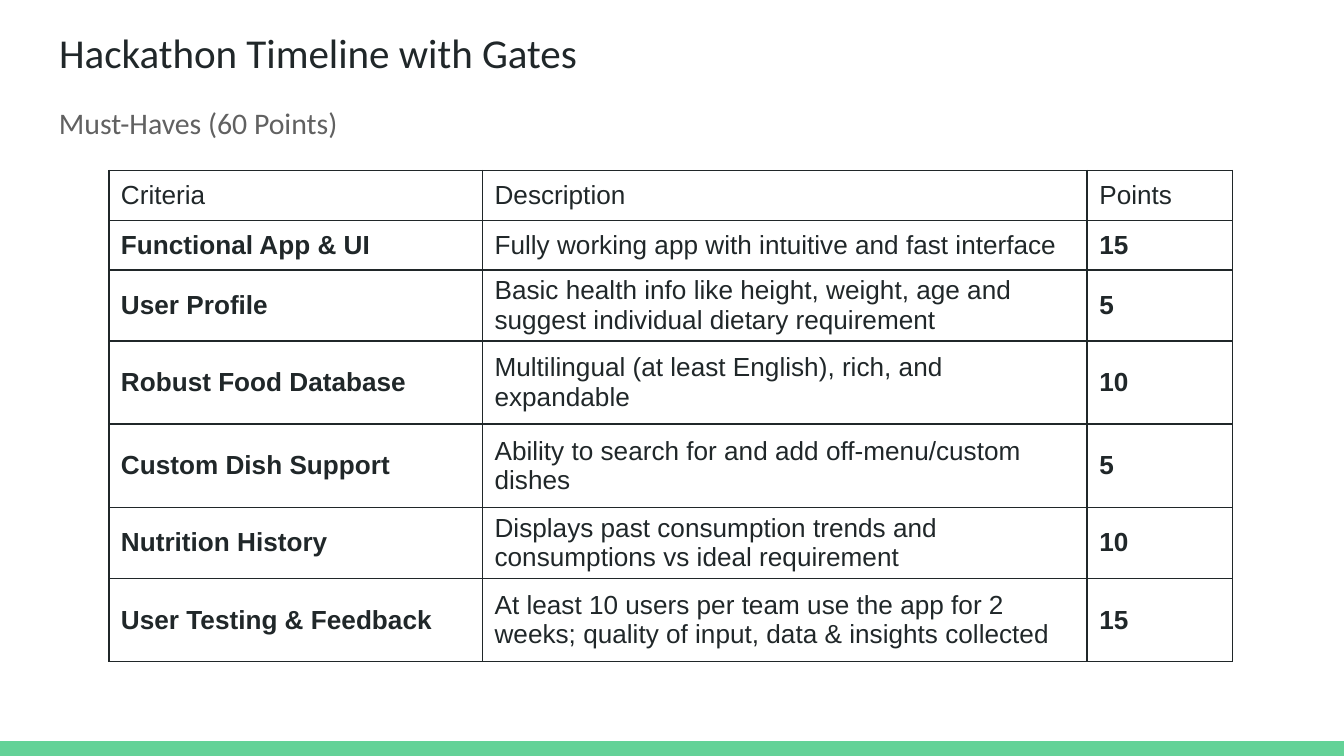
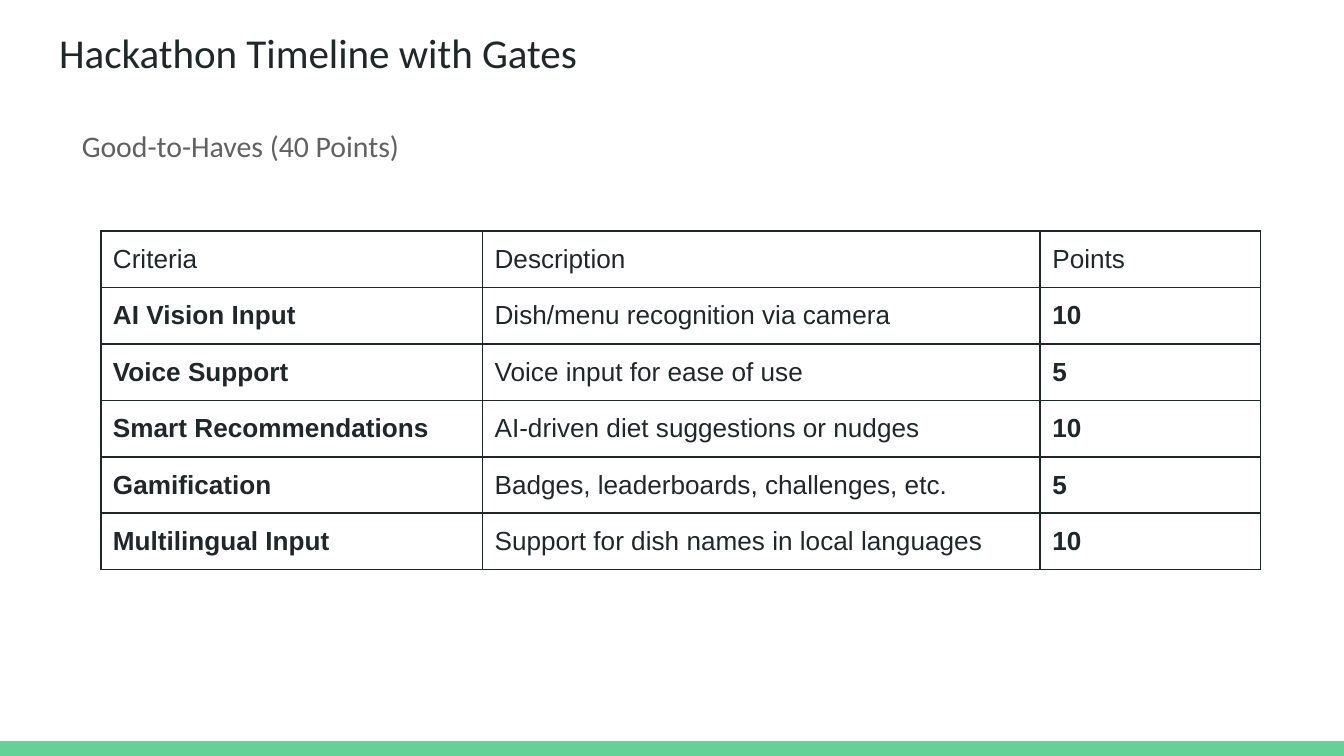
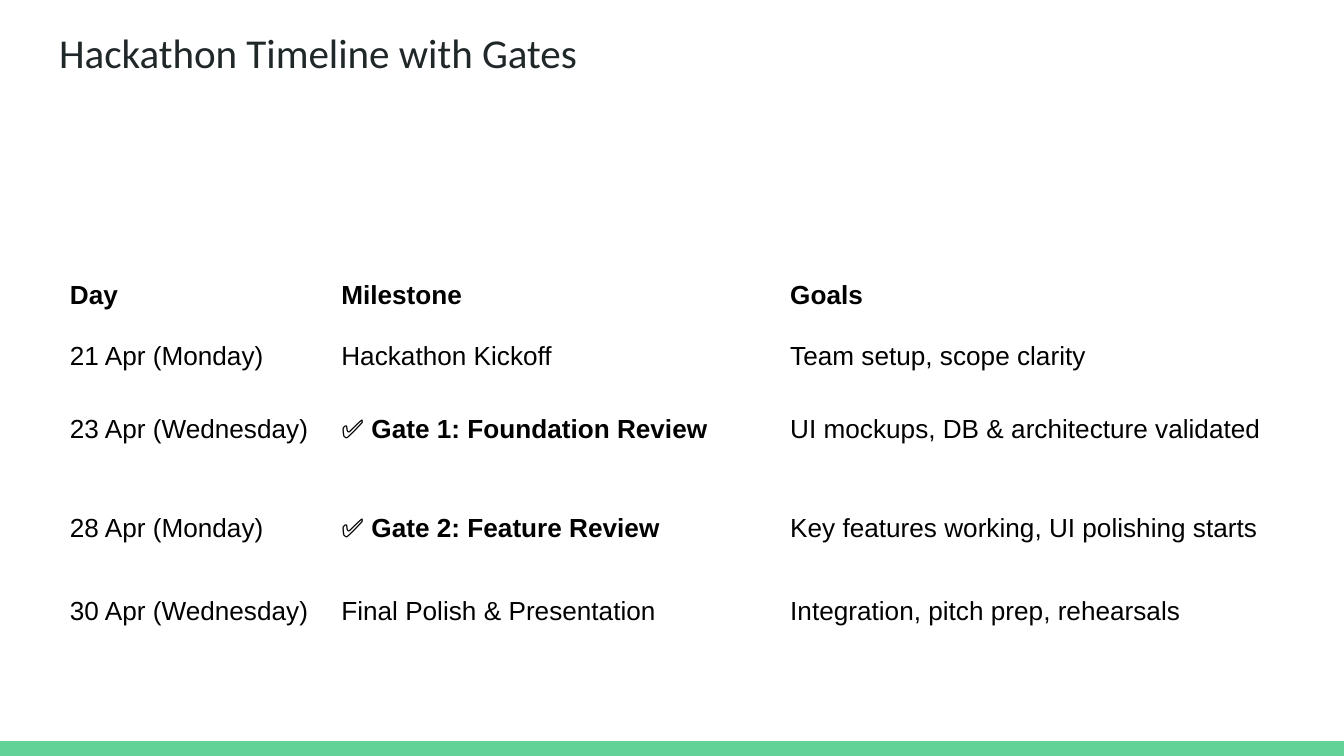
from dataclasses import dataclass

from lxml import etree
from pptx import Presentation
from pptx.dml.color import RGBColor
from pptx.enum.shapes import MSO_SHAPE
from pptx.enum.text import MSO_ANCHOR, MSO_AUTO_SIZE, PP_ALIGN
from pptx.oxml.ns import qn
from pptx.util import Inches, Pt

RECT = MSO_SHAPE.RECTANGLE
MIDDLE, TOP = MSO_ANCHOR.MIDDLE, MSO_ANCHOR.TOP
LEFT = PP_ALIGN.LEFT
NO_FIT = MSO_AUTO_SIZE.NONE


@dataclass(frozen=True)
class Theme:
    ink: str = "202729"
    muted: str = "616161"
    black: str = "000000"
    band: str = "63D297"
    heading_font: str = "Calibri"
    table_font: str = "Arial"
    title_size: int = 22
    subtitle_size: int = 16
    table_size: int = 14
    border: int = 1
    cell_pad_x: float = 6.5
    cell_pad_y: float = 3.25


THEME = Theme()

# Content: a cell given as a pair is plain text followed by bold text
TITLE = "Hackathon Timeline with Gates"
SCORE_HEADER = ("Criteria", "Description", "Points")
SLIDES = [
    {
        "subtitle": ("Must-Haves (60 Points)", 0.34, 0.78),
        "at": (0.81, 1.27),
        "cols": (2.78, 4.5, 1.08),
        "heights": (0.37, 0.37, 0.37, 0.62, 0.62, 0.37, 0.62),
        "ruled": True,
        "color": THEME.ink,
        "rows": [
            SCORE_HEADER,
            ("Functional App & UI", "Fully working app with intuitive and fast interface", "15"),
            ("User Profile", "Basic health info like height, weight, age and "
             "suggest individual dietary requirement", "5"),
            ("Robust Food Database", "Multilingual (at least English), rich, and expandable", "10"),
            ("Custom Dish Support", "Ability to search for and add off-menu/custom dishes", "5"),
            ("Nutrition History", "Displays past consumption trends and "
             "consumptions vs ideal requirement", "10"),
            ("User Testing & Feedback", "At least 10 users per team use the app for 2 weeks; "
             "quality of input, data & insights collected", "15"),
        ],
    },
    {
        "subtitle": ("Good-to-Haves (40 Points)", 0.51, 0.95),
        "at": (0.75, 1.72),
        "cols": (2.84, 4.15, 1.64),
        "heights": (0.42,) * 6,
        "ruled": True,
        "color": THEME.ink,
        "rows": [
            SCORE_HEADER,
            ("AI Vision Input", "Dish/menu recognition via camera", "10"),
            ("Voice Support", "Voice input for ease of use", "5"),
            ("Smart Recommendations", "AI-driven diet suggestions or nudges", "10"),
            ("Gamification", "Badges, leaderboards, challenges, etc.", "5"),
            ("Multilingual Input", "Support for dish names in local languages", "10"),
        ],
    },
    {
        "subtitle": None,
        "at": (0.43, 1.98),
        "cols": (2.02, 3.34, 3.96),
        "heights": (0.44, 0.47, 0.61, 0.87, 0.36),
        "ruled": False,
        "color": THEME.black,
        "rows": [
            ("Day", "Milestone", "Goals"),
            ("21 Apr (Monday)", "Hackathon Kickoff", "Team setup, scope clarity"),
            ("23 Apr (Wednesday)", ("✅ ", "Gate 1: Foundation Review"),
             "UI mockups, DB & architecture validated"),
            ("28 Apr (Monday)", ("✅ ", "Gate 2: Feature Review"),
             "Key features working, UI polishing starts"),
            ("30 Apr (Wednesday)", "Final Polish & Presentation",
             "Integration, pitch prep, rehearsals"),
        ],
    },
]


def style_font(font, name, size, color):
    font.name, font.size = name, Pt(size)
    font.color.rgb = RGBColor.from_string(color)


# Headings
def set_heading(sp, text, box, size, color, anchor, top_inset):
    sp.left, sp.top, sp.width, sp.height = (Inches(v) for v in box)
    tf = sp.text_frame
    tf.word_wrap, tf.auto_size, tf.vertical_anchor = True, NO_FIT, anchor
    tf.margin_left = tf.margin_right = tf.margin_bottom = Inches(0.1)
    tf.margin_top = Inches(top_inset)
    p = tf.paragraphs[0]
    p.text, p.alignment = text, LEFT
    style_font(p.font, THEME.heading_font, size, color)


# Tables
def rule_cell(cell):
    tc_pr = cell._tc.get_or_add_tcPr()
    for i, side in enumerate(("lnL", "lnR", "lnT", "lnB")):
        ln = etree.Element(qn(f"a:{side}"), w=str(Pt(THEME.border)))
        fill = etree.SubElement(ln, qn("a:solidFill"))
        etree.SubElement(fill, qn("a:srgbClr"), val=THEME.ink)
        tc_pr.insert(i, ln)


def fill_cell(cell, content, bold, color):
    cell.fill.background()
    cell.vertical_anchor = MIDDLE
    cell.margin_left = cell.margin_right = Pt(THEME.cell_pad_x)
    cell.margin_top = cell.margin_bottom = Pt(THEME.cell_pad_y)
    p = cell.text_frame.paragraphs[0]
    parts = [(content, bold)] if isinstance(content, str) else zip(content, (False, True))
    for text, is_bold in parts:
        r = p.add_run()
        r.text, r.font.bold = text, is_bold
    style_font(p.font, THEME.table_font, THEME.table_size, color)


def add_grid(s, data):
    rows, cols, heights = data["rows"], data["cols"], data["heights"]
    box = (*data["at"], sum(cols), sum(heights))
    table = s.shapes.add_table(len(rows), len(cols), *(Inches(v) for v in box)).table
    table.first_row = table.horz_banding = False
    for column, width in zip(table.columns, cols):
        column.width = Inches(width)
    for i, (row, height) in enumerate(zip(rows, heights)):
        table.rows[i].height = Inches(height)
        for j, content in enumerate(row):
            # Score tables stress criteria and points; the timeline its header
            bold = (i > 0 and j != 1) if data["ruled"] else i == 0
            cell = table.cell(i, j)
            fill_cell(cell, content, bold, data["color"])
            if data["ruled"]:
                rule_cell(cell)


# Bottom band, held by the master
def add_master_band(prs, s):
    height = Inches(0.11)
    band = s.shapes.add_shape(RECT, 0, prs.slide_height - height, prs.slide_width, height)
    band.shadow.inherit = False
    band.fill.solid()
    band.fill.fore_color.rgb = RGBColor.from_string(THEME.band)
    band.line.fill.background()
    prs.slide_master.shapes._spTree.append(band._element)


def main():
    prs = Presentation()
    prs.slide_width = Inches(10)
    prs.slide_height = prs.slide_width * 9 // 16
    title_only = prs.slide_layouts[5]
    for i, data in enumerate(SLIDES):
        s = prs.slides.add_slide(title_only)
        if i == 0:
            add_master_band(prs, s)
        set_heading(s.shapes.title, TITLE, (0.34, 0, 9.32, 0.78),
                    THEME.title_size, THEME.ink, MIDDLE, 0.1)
        if data["subtitle"]:
            text, left, top = data["subtitle"]
            set_heading(s.shapes.add_textbox(0, 0, 0, 0), text, (left, top, 9.32, 0.53),
                        THEME.subtitle_size, THEME.muted, TOP, 0)
        add_grid(s, data)
    prs.save("out.pptx")


if __name__ == "__main__":
    main()
